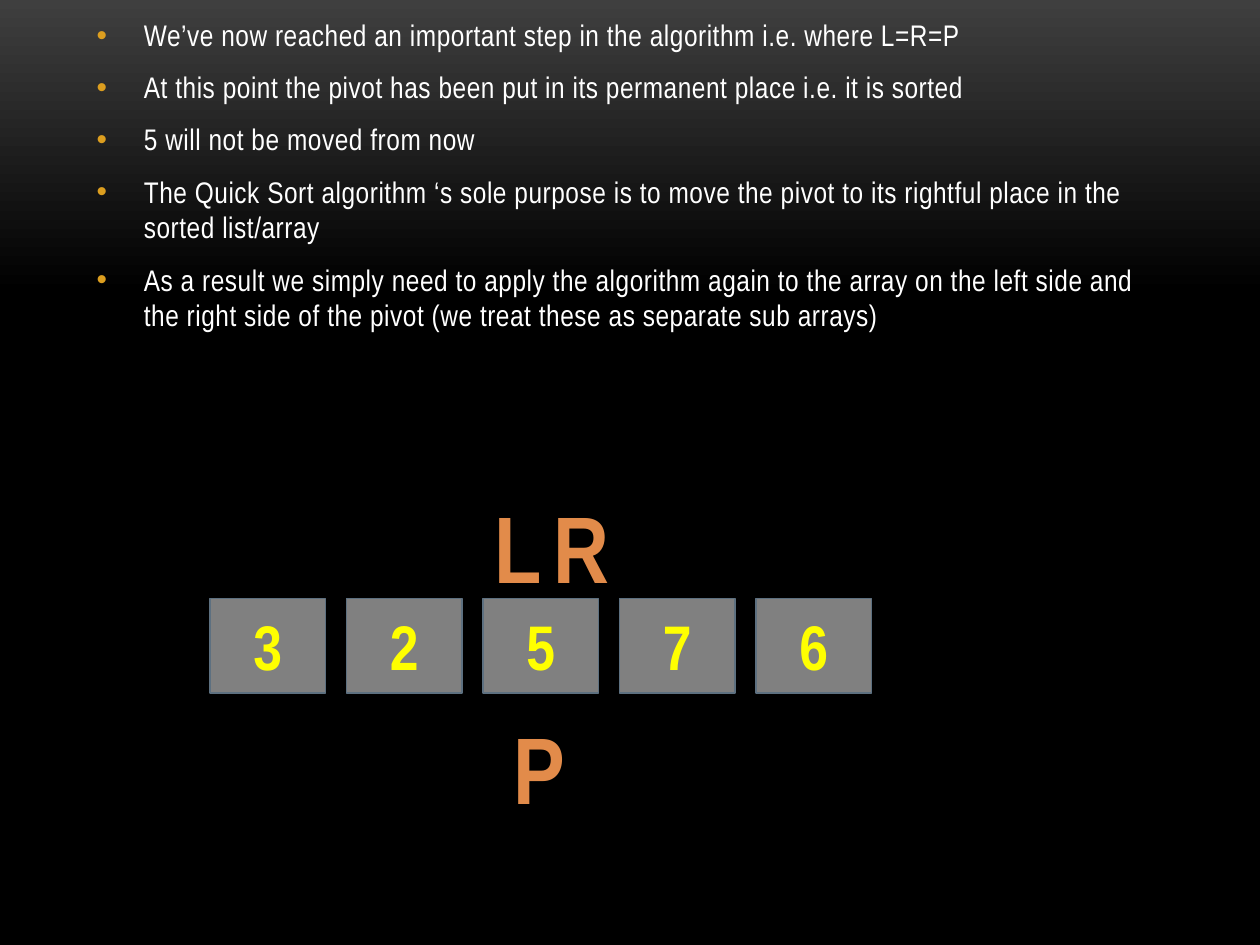
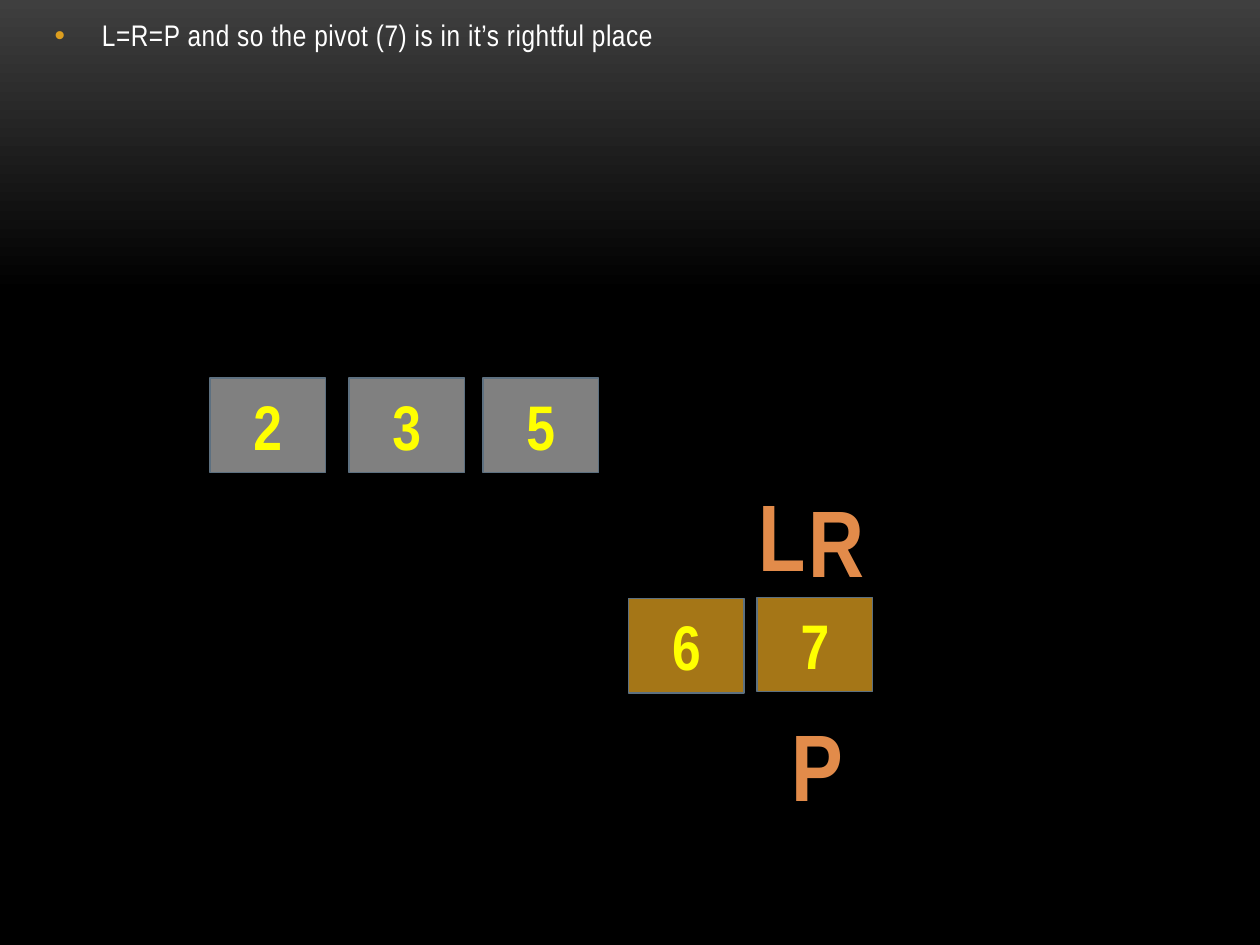
from dataclasses import dataclass

from lxml import etree
from pptx import Presentation
from pptx.dml.color import RGBColor
from pptx.enum.shapes import MSO_SHAPE
from pptx.enum.text import MSO_ANCHOR, MSO_AUTO_SIZE, PP_ALIGN
from pptx.oxml.ns import qn
from pptx.util import Pt

RECT = MSO_SHAPE.RECTANGLE
MIDDLE = MSO_ANCHOR.MIDDLE
CENTER = PP_ALIGN.CENTER
NO_FIT, GROW = MSO_AUTO_SIZE.NONE, MSO_AUTO_SIZE.SHAPE_TO_FIT_TEXT


@dataclass(frozen=True)
class Theme:
    font: str = "Arial Narrow"
    top: str = "3F3F3F"
    base: str = "000000"
    text: str = "FFFFFF"
    bullet: str = "DC9E1F"
    cell: str = "808080"
    active: str = "A57617"
    edge: str = "5D7080"
    digit: str = "FFFF00"
    mark: str = "E28B4A"
    text_size: float = 17
    digit_size: float = 36
    mark_size: float = 54


CELL_W, CELL_H = 66, 54
LEFT, STEP = 120, 78
MARK_H = 72.7
MARK_W = {"L": 41.8, "R": 46.8, "P": 44.6}


def rgb(code):
    return RGBColor.from_string(code)


class Deck:
    def __init__(self, theme):
        self.theme = theme
        self.prs = Presentation()
        self.prs.slide_width, self.prs.slide_height = Pt(720), Pt(540)
        self.slide = None
        self.shade()

    def shade(self):
        """Fade the master background from grey to black, top down."""
        fill = self.prs.slide_master.background.fill
        fill.gradient()
        fill.gradient_angle = 270
        stops = ((0, self.theme.top), (0.31, self.theme.base))
        for stop, (place, code) in zip(fill.gradient_stops, stops):
            stop.position = place
            stop.color.rgb = rgb(code)

    def style(self, para, size, color, bold=False):
        font = para.font
        font.name, font.size, font.bold = self.theme.font, Pt(size), bold
        font.color.rgb = rgb(color)

    def add(self):
        self.slide = self.prs.slides.add_slide(self.prs.slide_layouts[1])
        title = self.slide.shapes.title.element
        title.getparent().remove(title)

    def bullets(self, left, height, lines):
        body = self.slide.placeholders[1]
        body.left, body.top = Pt(left), Pt(6)
        body.width, body.height = Pt(624), Pt(height)
        frame = body.text_frame
        frame.text = "\n".join(lines)
        frame.auto_size = NO_FIT
        for para in frame.paragraphs:
            para.space_after = Pt(6)
            props = para._p.get_or_add_pPr()
            tint = etree.SubElement(props, qn("a:buClr"))
            etree.SubElement(tint, qn("a:srgbClr"), val=self.theme.bullet)
            self.style(para, self.theme.text_size, self.theme.text)
            props.find(qn("a:defRPr")).set("spc", "30")

    def cell(self, digit, left, top, color):
        box = self.slide.shapes.add_shape(
            RECT, Pt(left), Pt(top), Pt(CELL_W), Pt(CELL_H))
        box.shadow.inherit = False
        box.fill.solid()
        box.fill.fore_color.rgb = rgb(color)
        box.line.color.rgb = rgb(self.theme.edge)
        box.line.width = Pt(0.85)
        frame = box.text_frame
        frame.text = digit
        frame.vertical_anchor = MIDDLE
        para = frame.paragraphs[0]
        para.alignment = CENTER
        self.style(para, self.theme.digit_size, self.theme.digit, True)

    def mark(self, name, left, top):
        """Add the letter of a pointer: left, right or pivot."""
        box = self.slide.shapes.add_textbox(
            Pt(left), Pt(top), Pt(MARK_W[name]), Pt(MARK_H))
        frame = box.text_frame
        frame.text = name
        frame.word_wrap = False
        frame.auto_size = GROW
        para = frame.paragraphs[0]
        para.alignment = CENTER
        self.style(para, self.theme.mark_size, self.theme.mark, True)


def pivot(deck):
    """Show the first pivot, 5, in its final place."""
    deck.add()
    deck.bullets(48, 276, (
        "We’ve now reached an important step in the algorithm i.e. where L=R=P",
        "At this point the pivot has been put in its permanent place "
        "i.e. it is sorted",
        "5 will not be moved from now",
        "The Quick Sort algorithm ‘s sole purpose is to move the pivot to its "
        "rightful place in the sorted list/array",
        "As a result we simply need to apply the algorithm again to the array "
        "on the left side and the right side of the pivot "
        "(we treat these as separate sub arrays)",
    ))
    for i, digit in enumerate("32576"):
        deck.cell(digit, LEFT + i * STEP, 342, deck.theme.cell)
    for name, left, top in (("P", 286, 402), ("L", 275, 276), ("R", 309, 276)):
        deck.mark(name, left, top)


def split(deck):
    """Show the right sub array with its pivot, 7, in place."""
    deck.add()
    deck.bullets(24, 233, ("L=R=P and so the pivot (7) is in it’s rightful place",))
    for digit, left in (("2", LEFT), ("3", 199.5), ("5", LEFT + 2 * STEP)):
        deck.cell(digit, left, 216, deck.theme.cell)
    for digit, left, top in (("6", 359.3, 342), ("7", 432.7, 341.3)):
        deck.cell(digit, left, top, deck.theme.active)
    for name, left, top in (
            ("P", 444.5, 400.3), ("R", 454.3, 272.2), ("L", 426.2, 268.8)):
        deck.mark(name, left, top)


def main():
    deck = Deck(Theme())
    pivot(deck)
    split(deck)
    deck.prs.save("out.pptx")


if __name__ == "__main__":
    main()
